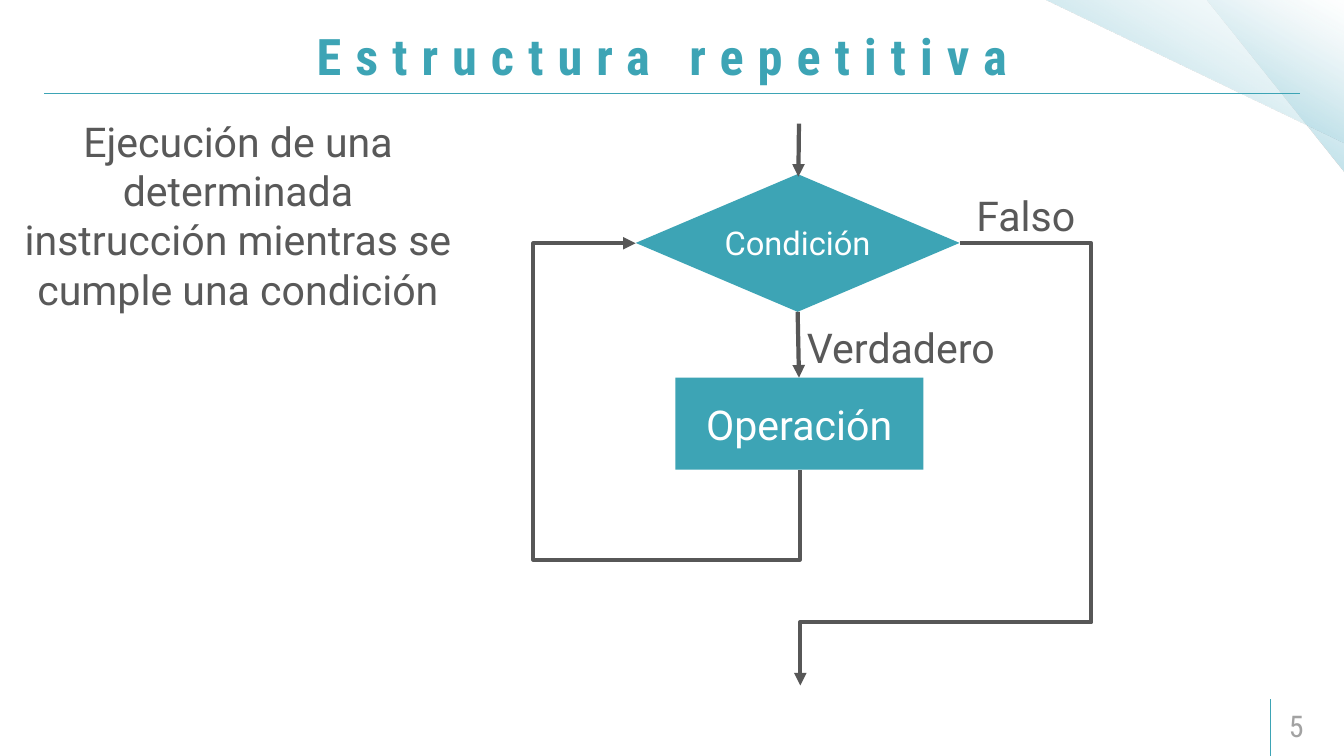
import dataclasses

import lxml.etree
import pptx
import pptx.dml.color
import pptx.enum.shapes
import pptx.enum.text
import pptx.oxml
import pptx.oxml.ns
import pptx.util

RGBColor = pptx.dml.color.RGBColor
Shape = pptx.enum.shapes.MSO_SHAPE
Align = pptx.enum.text.PP_ALIGN
Anchor = pptx.enum.text.MSO_ANCHOR
AutoSize = pptx.enum.text.MSO_AUTO_SIZE
qn = pptx.oxml.ns.qn

TEAL = RGBColor(0x3D, 0xA4, 0xB5)
TEXT_GREY = RGBColor(0x59, 0x59, 0x59)
ARROW_GREY = RGBColor(0x57, 0x57, 0x57)
PAGE_GREY = RGBColor(0xA2, 0xA2, 0xA2)
WHITE = RGBColor(0xFF, 0xFF, 0xFF)
FADE = (
    (0, RGBColor(0x97, 0xD1, 0xE0), 100),
    (50, RGBColor(0xAA, 0xD7, 0xE2), 44),
    (100, RGBColor(0xE0, 0xF0, 0xF4), 0),
)
FADE_ANGLE = 120
BODY = "Roboto"
CONDENSED = "Roboto Condensed"

WIDTH, HEIGHT = pptx.util.Inches(20), pptx.util.Inches(11.25)
COLS, ROWS = 200, 112.5


@dataclasses.dataclass(frozen=True)
class Box:
    col: float
    row: float
    cols: float
    rows: float


@dataclasses.dataclass(frozen=True)
class Style:
    size: float
    color: RGBColor
    font: str = BODY
    bold: bool = False
    spacing: int = 0
    align: Align = Align.LEFT


@dataclasses.dataclass(frozen=True)
class Label:
    text: str
    box: Box
    style: Style


@dataclasses.dataclass(frozen=True)
class Node:
    label: Label
    kind: Shape


@dataclasses.dataclass(frozen=True)
class Line:
    start: tuple[float, float]
    end: tuple[float, float]
    color: RGBColor = ARROW_GREY
    width: float = 4.5
    arrow: bool = True
    bends: tuple[float, ...] = ()
    turn: int = 0


GREY_TEXT = Style(44, TEXT_GREY)
TRIANGLES = (Box(179.6, 0, 20.4, 25.7), Box(155.4, 0, 44.8, 21.3))
TITLE = Label("Estructura repetitiva", Box(7, 2.1, 183.1, 12.3),
              Style(54, TEAL, CONDENSED, True, 15, Align.CENTER))
PAGE = Label("5", Box(190, 104.9, 9.9, 6), Style(32, PAGE_GREY, CONDENSED))
LABELS = (
    Label("Ejecución de una determinada instrucción mientras se cumple una condición",
          Box(2, 16.8, 66.9, 30.6), dataclasses.replace(GREY_TEXT, align=Align.CENTER)),
    Label("Verdadero", Box(119.1, 47.5, 33.1, 8.4), GREY_TEXT),
    Label("Falso", Box(144.3, 27.9, 33.1, 8.4), GREY_TEXT),
)
NODES = (
    Node(Label("Operación", Box(100.5, 56.2, 36.9, 13.7),
               Style(44, WHITE, align=Align.CENTER)), Shape.ROUNDED_RECTANGLE),
    Node(Label("Condición", Box(94.6, 25.9, 48.2, 20.5),
               Style(35, WHITE, align=Align.CENTER)), Shape.FLOWCHART_DECISION),
)
RULES = (
    Line((6.6, 13.9), (193.4, 13.9), TEAL, 1, False),
    Line((189.1, 112.5), (189.1, 104), TEAL, 1, False),
)
ARROWS = (
    Line((118.9, 18.4), (118.8, 26.3)),
    Line((118.7, 46.4), (118.9, 56.2)),
    Line((123.7, 40.9), (89.9, 65.3), bends=(-0.393, 1.624), turn=90),
    Line((142.8, 36.2), (119.1, 102), bends=(-0.827, 0.857)),
)


def x(cols: float) -> int:
    return round(WIDTH * cols / COLS)


def y(rows: float) -> int:
    return round(HEIGHT * rows / ROWS)


def place(box: Box) -> tuple[int, int, int, int]:
    return x(box.col), y(box.row), x(box.cols), y(box.rows)


def write(tf, text: str, style: Style) -> None:
    tf.word_wrap = True
    p = tf.paragraphs[0]
    p.alignment = style.align
    r = p.add_run()
    r.text = text
    r.font.name = style.font
    r.font.size = pptx.util.Pt(style.size)
    r.font.bold = style.bold
    r.font.color.rgb = style.color
    if style.spacing:
        r.font._element.set("spc", str(style.spacing * 100))


def pad(tf) -> None:
    tf.auto_size = AutoSize.NONE
    tf.vertical_anchor = Anchor.MIDDLE
    tf.margin_left = tf.margin_right = pptx.util.Inches(0.18)
    tf.margin_top = tf.margin_bottom = pptx.util.Inches(0.09)


def add_triangle(s, box: Box) -> None:
    sp = s.shapes.add_shape(Shape.RIGHT_TRIANGLE, *place(box))
    sp.rotation = 180
    sp.shadow.inherit = False
    sp.line.fill.background()
    sp.fill.gradient()
    grad = sp._element.spPr.find(qn("a:gradFill"))
    for child in list(grad):
        grad.remove(child)
    stops = lxml.etree.SubElement(grad, qn("a:gsLst"))
    for position, color, opacity in FADE:
        stop = lxml.etree.SubElement(stops, qn("a:gs"), pos=str(position * 1000))
        tint = lxml.etree.SubElement(stop, qn("a:srgbClr"), val=str(color))
        lxml.etree.SubElement(tint, qn("a:alpha"), val=str(opacity * 1000))
    lxml.etree.SubElement(grad, qn("a:lin"), ang=str(FADE_ANGLE * 60000), scaled="0")


def add_label(s, label: Label):
    sp = s.shapes.add_textbox(*place(label.box))
    write(sp.text_frame, label.text, label.style)
    sp.text_frame.auto_size = AutoSize.SHAPE_TO_FIT_TEXT
    return sp


def add_node(s, node: Node) -> None:
    sp = s.shapes.add_shape(node.kind, *place(node.label.box))
    sp.shadow.inherit = False
    sp.fill.solid()
    sp.fill.fore_color.rgb = TEAL
    sp.line.fill.background()
    if node.kind == Shape.ROUNDED_RECTANGLE:
        sp.adjustments[0] = 0
    sp.text_frame.vertical_anchor = Anchor.MIDDLE
    write(sp.text_frame, node.label.text, node.label.style)


def add_line(s, line: Line) -> None:
    kinds = pptx.enum.shapes.MSO_CONNECTOR
    kind = kinds.ELBOW if line.bends else kinds.STRAIGHT
    (x1, y1), (x2, y2) = line.start, line.end
    sp = s.shapes.add_connector(kind, x(x1), y(y1), x(x2), y(y2))
    sp.line.color.rgb = line.color
    sp.line.width = pptx.util.Pt(line.width)
    spPr = sp._element.spPr
    if line.arrow:
        lxml.etree.SubElement(spPr.find(qn("a:ln")), qn("a:tailEnd"), type="triangle")
    lxml.etree.SubElement(spPr, qn("a:effectLst"))
    if line.bends:
        spPr.find(qn("a:xfrm")).set("rot", str(line.turn * 60000))
        geom = spPr.find(qn("a:prstGeom"))
        geom.set("prst", "bentConnector4")
        guides = geom.find(qn("a:avLst"))
        for i, bend in enumerate(line.bends, 1):
            lxml.etree.SubElement(guides, qn("a:gd"), name=f"adj{i}",
                                  fmla=f"val {round(bend * 100000)}")


def main() -> None:
    prs = pptx.Presentation()
    prs.slide_width, prs.slide_height = WIDTH, HEIGHT
    s = prs.slides.add_slide(prs.slide_layouts[5])
    for box in TRIANGLES:
        add_triangle(s, box)
    for rule in RULES:
        add_line(s, rule)
    title = s.shapes.title
    title.left, title.top, title.width, title.height = place(TITLE.box)
    write(title.text_frame, TITLE.text, TITLE.style)
    pad(title.text_frame)
    pad(add_label(s, PAGE).text_frame)
    for node in NODES:
        add_node(s, node)
    for label in LABELS:
        add_label(s, label)
    for arrow in ARROWS:
        add_line(s, arrow)
    prs.save("out.pptx")


if __name__ == "__main__":
    main()
